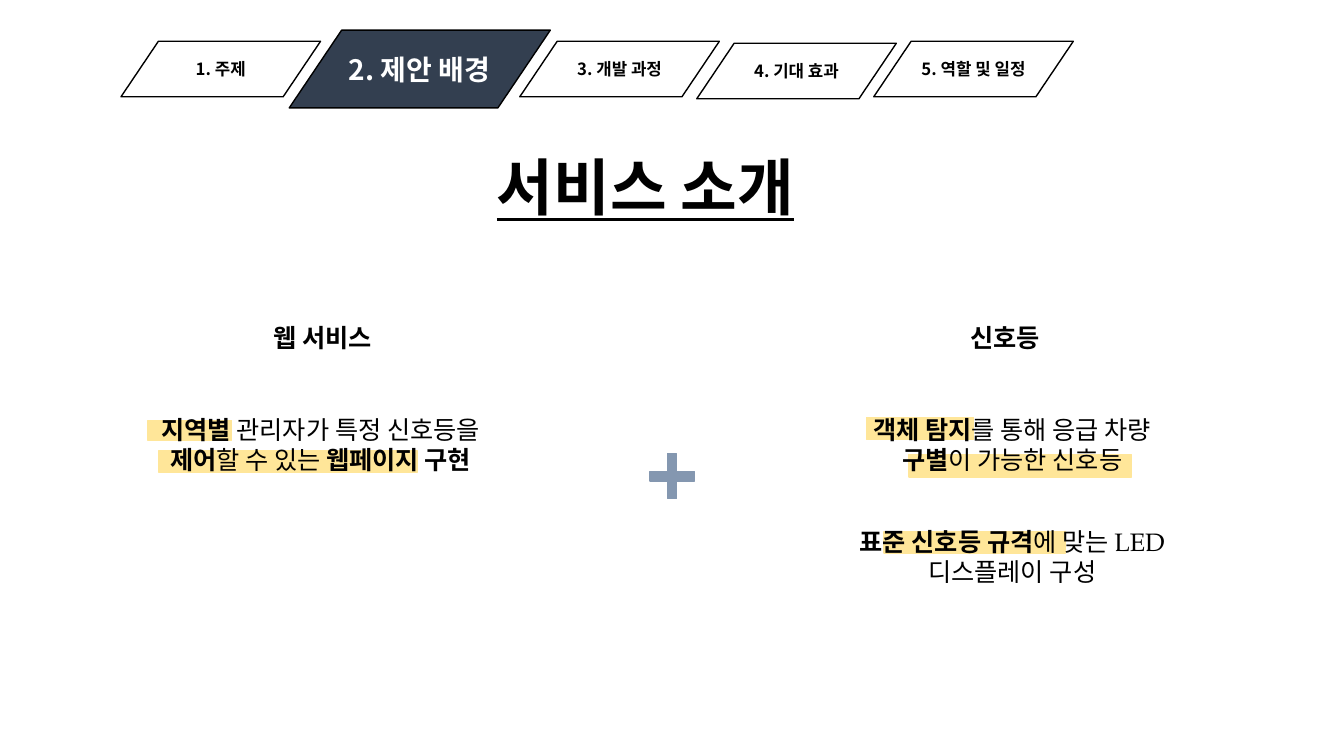
from dataclasses import dataclass

from lxml.etree import SubElement
from pptx import Presentation
from pptx.dml.color import RGBColor
from pptx.enum.shapes import MSO_SHAPE as Preset
from pptx.enum.text import MSO_ANCHOR as Anchor, MSO_AUTO_SIZE as AutoSize, PP_ALIGN as Align
from pptx.oxml.ns import qn
from pptx.shapes.autoshape import Shape
from pptx.slide import Slide
from pptx.text.text import TextFrame
from pptx.util import Cm, Pt

BLACK = RGBColor(0x00, 0x00, 0x00)
WHITE = RGBColor(0xFF, 0xFF, 0xFF)
NAVY = RGBColor(0x33, 0x3F, 0x50)
YELLOW = RGBColor(0xFF, 0xE6, 0x99)
STEEL = RGBColor(0x84, 0x97, 0xB0)

HEADING_FONT = "Noto Sans CJK KR"
BODY_FONT = "Arial Narrow"
LATIN_FONT = "TeX Gyre Pagella"

TAB_SLANT = 0.674
TAB_STEP = 4.46


@dataclass(frozen=True)
class Box:
    """A rectangle in centimetres."""
    left: float
    top: float
    width: float
    height: float

    def lengths(self) -> tuple[Cm, Cm, Cm, Cm]:
        return Cm(self.left), Cm(self.top), Cm(self.width), Cm(self.height)


@dataclass(frozen=True)
class Piece:
    text: str
    bold: bool = False
    font: str = BODY_FONT


@dataclass(frozen=True)
class Tab:
    text: str
    box: Box
    active: bool = False


@dataclass(frozen=True)
class TextBlock:
    box: Box
    pieces: tuple[Piece, ...]
    align: Align = Align.CENTER


def small_tab(text: str, left: float, top: float = 1.04) -> Tab:
    return Tab(text, Box(left, top, 5.03, 1.4))


TABS = (
    small_tab("1. 주제", 3.05),
    Tab("2. 제안 배경", Box(7.29, 0.76, 6.58, 1.96), active=True),
    small_tab("3. 개발 과정", 13.1),
    small_tab("4. 기대 효과", 13.1 + TAB_STEP, 1.09),
    small_tab("5. 역할 및 일정", 13.1 + 2 * TAB_STEP),
)

HIGHLIGHTS = (
    Box(3.73, 10.59, 2.11, 0.51),
    Box(21.84, 10.52, 2.69, 0.56),
    Box(22.28, 13.41, 4.57, 0.53),
    Box(22.91, 11.46, 5.61, 0.56),
    Box(4.01, 11.35, 6.5, 0.56),
)

TEXT_BLOCKS = (
    TextBlock(Box(6.65, 8, 3.56, 1.02), (Piece("웹 서비스", True),), Align.LEFT),
    TextBlock(Box(24.2, 8, 2.64, 1.02), (Piece("신호등", True),), Align.LEFT),
    TextBlock(Box(3.28, 10.31, 9.6, 1.8), (
        Piece("지역별", True),
        Piece(" 관리자가 특정 신호등을 "),
        Piece("제어", True),
        Piece("할 수 있는 "),
        Piece("웹페이지 구현", True),
    )),
    TextBlock(Box(21.41, 10.31, 8.2, 1.8), (
        Piece("객체 탐지", True),
        Piece("를 통해 응급 차량 "),
        Piece("구별", True),
        Piece("이 가능한 신호등"),
    )),
    TextBlock(Box(21.41, 13.13, 8.2, 1.8), (
        Piece("표준 신호등 규격", True),
        Piece("에 맞는 "),
        Piece("LED ", font=LATIN_FONT),
        Piece("디스플레이 구성"),
    )),
)


def write(frame: TextFrame, *pieces: Piece, size: float, color: RGBColor = BLACK,
          align: Align = Align.CENTER, anchor: Anchor = Anchor.TOP,
          underline: bool = False, wrap: bool = True) -> None:
    frame.word_wrap = wrap
    frame.auto_size = AutoSize.NONE
    frame.vertical_anchor = anchor
    paragraph = frame.paragraphs[0]
    paragraph.alignment = align
    for piece in pieces:
        run = paragraph.add_run()
        run.text = piece.text
        font = run.font
        font.size = Pt(size)
        font.bold = piece.bold
        font.underline = underline
        font.color.rgb = color
        font.name = piece.font
        east_asian = SubElement(run._r.get_or_add_rPr(), qn("a:ea"))
        east_asian.set("typeface", piece.font)


def add_preset(slide: Slide, preset: Preset, box: Box, fill: RGBColor, line: RGBColor) -> Shape:
    shape = slide.shapes.add_shape(preset, *box.lengths())
    shape.shadow.inherit = False
    shape.fill.solid()
    shape.fill.fore_color.rgb = fill
    shape.line.color.rgb = line
    shape.line.width = Pt(1)
    return shape


def add_tab(slide: Slide, tab: Tab) -> None:
    shape = add_preset(slide, Preset.PARALLELOGRAM, tab.box,
                       NAVY if tab.active else WHITE, BLACK)
    shape.adjustments[0] = TAB_SLANT
    write(shape.text_frame, Piece(tab.text, True, HEADING_FONT),
          size=20 if tab.active else 12, color=WHITE if tab.active else BLACK,
          anchor=Anchor.MIDDLE, wrap=False)


def set_title(slide: Slide, text: str, box: Box) -> None:
    title = slide.shapes.title
    title.left, title.top, title.width, title.height = box.lengths()
    write(title.text_frame, Piece(text, True, HEADING_FONT), size=44,
          align=Align.LEFT, underline=True)
    title.text_frame.paragraphs[0].line_spacing = 0.9


def main() -> None:
    presentation = Presentation()
    presentation.slide_width, presentation.slide_height = Cm(33.87), Cm(19.05)
    slide = presentation.slides.add_slide(presentation.slide_layouts[5])

    set_title(slide, "서비스 소개", Box(12.27, 3.84, 8.33, 2.13))
    for tab in TABS:
        add_tab(slide, tab)
    for box in HIGHLIGHTS:
        add_preset(slide, Preset.RECTANGLE, box, YELLOW, YELLOW)
    for block in TEXT_BLOCKS:
        text_box = slide.shapes.add_textbox(*block.box.lengths())
        write(text_box.text_frame, *block.pieces, size=18, align=block.align)
    plus = add_preset(slide, Preset.CROSS, Box(16.38, 11.43, 1.12, 1.14), STEEL, STEEL)
    plus.adjustments[0] = 0.4

    presentation.save("out.pptx")


if __name__ == "__main__":
    main()
